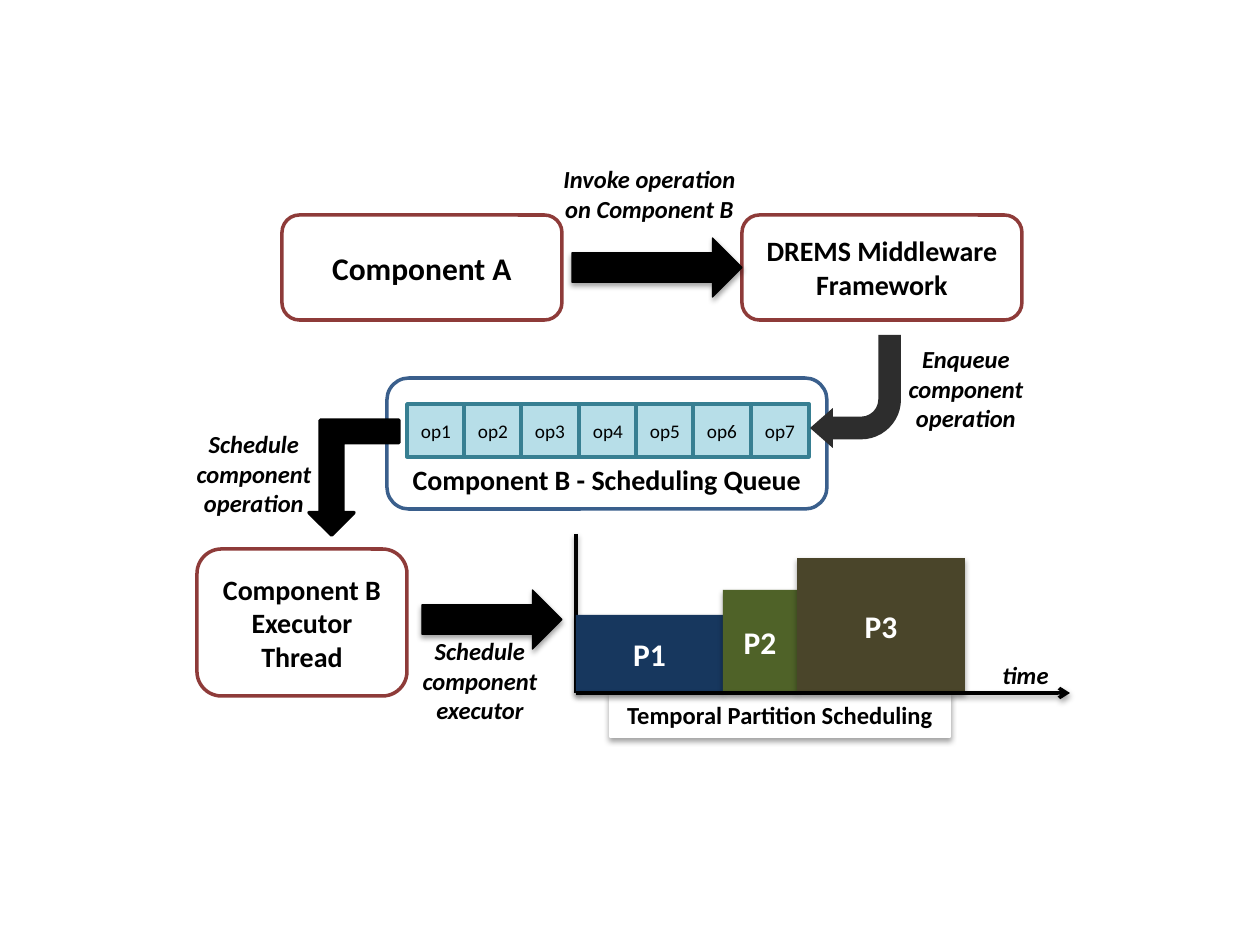
from dataclasses import dataclass

from lxml import etree
from pptx import Presentation
from pptx.dml.color import RGBColor
from pptx.enum.shapes import MSO_CONNECTOR, MSO_SHAPE
from pptx.enum.text import MSO_ANCHOR, MSO_AUTO_SIZE, PP_ALIGN
from pptx.oxml.ns import qn
from pptx.util import Pt

RECT, ROUND = MSO_SHAPE.RECTANGLE, MSO_SHAPE.ROUNDED_RECTANGLE
RIGHT_ARROW = MSO_SHAPE.RIGHT_ARROW
BENT_ARROW, BENT_UP_ARROW = MSO_SHAPE.BENT_ARROW, MSO_SHAPE.BENT_UP_ARROW
STRAIGHT = MSO_CONNECTOR.STRAIGHT
TOP, MIDDLE, BOTTOM = MSO_ANCHOR.TOP, MSO_ANCHOR.MIDDLE, MSO_ANCHOR.BOTTOM
CENTER = PP_ALIGN.CENTER
FIT_SHAPE = MSO_AUTO_SIZE.SHAPE_TO_FIT_TEXT

PX = 914400 / 126


@dataclass(frozen=True)
class Theme:
    font: str = "Calibri"
    black: str = "000000"
    white: str = "FFFFFF"
    grey: str = "2D2D2D"
    component: str = "8E3B39"
    queue: str = "3A5F8C"
    op_fill: str = "B7DEE8"
    op_line: str = "377F92"
    p1: str = "17375E"
    p2: str = "4F6228"
    p3: str = "4A452A"
    large: int = 18
    medium: int = 16
    label: int = 14
    small: int = 11
    thick: float = 2
    thin: float = 0.75


def px(*lengths):
    return [round(n * PX) for n in lengths]


def rgb(value):
    return RGBColor.from_string(value)


def add_shadow(effects):
    shadow = etree.SubElement(effects, qn("a:outerShdw"), blurRad="40000",
                              dist="21500", dir="5400000", rotWithShape="0")
    color = etree.SubElement(shadow, qn("a:srgbClr"), val="000000")
    etree.SubElement(color, qn("a:alpha"), val="36000")


class Diagram:
    def __init__(self, slide, theme):
        self.slide = slide
        self.theme = theme

    def set_text(self, sp, text, size, color, anchor=MIDDLE, bold=True, italic=False):
        tf = sp.text_frame
        tf.word_wrap = True
        tf.vertical_anchor = anchor
        tf.text = text
        for p in tf.paragraphs:
            p.alignment = CENTER
            p.font.name = self.theme.font
            p.font.size = Pt(size)
            p.font.bold = bold
            p.font.italic = italic
            p.font.color.rgb = rgb(color)

    def shape(self, kind, box, fill, line=None, width=None, shadow=False):
        sp = self.slide.shapes.add_shape(kind, *px(*box))
        sp.fill.solid()
        sp.fill.fore_color.rgb = rgb(fill)
        if line:
            sp.line.color.rgb = rgb(line)
            sp.line.width = Pt(width or self.theme.thick)
        else:
            sp.line.fill.background()
        sp.shadow.inherit = False
        if shadow:
            add_shadow(sp.element.spPr.find(qn("a:effectLst")))
        return sp

    def component(self, box, text, size):
        sp = self.shape(ROUND, box, self.theme.white, self.theme.component)
        self.set_text(sp, text, size, self.theme.black)

    def block_arrow(self, box):
        self.shape(RIGHT_ARROW, box, self.theme.black, self.theme.black,
                   self.theme.thin, shadow=True)

    def label(self, box, text):
        sp = self.slide.shapes.add_textbox(*px(*box))
        self.set_text(sp, text, self.theme.label, self.theme.black, TOP, italic=True)
        sp.text_frame.auto_size = FIT_SHAPE

    def axis(self, start, end, arrow=False):
        axis = self.slide.shapes.add_connector(STRAIGHT, *px(*start, *end))
        axis.line.color.rgb = rgb(self.theme.black)
        axis.line.width = Pt(self.theme.thick)
        props = axis.element.spPr
        if arrow:
            etree.SubElement(props.find(qn("a:ln")), qn("a:tailEnd"), type="arrow")
        add_shadow(etree.SubElement(props, qn("a:effectLst")))

    def queue(self, box, text, count):
        t = self.theme
        sp = self.shape(ROUND, box, t.white, t.queue)
        self.set_text(sp, text, t.medium, t.black, BOTTOM)
        for i in range(count):
            cell = self.shape(RECT, (407 + 344 * i // (count - 1), 404, 58, 53),
                              t.op_fill, t.op_line)
            self.set_text(cell, f"op{i + 1}", t.small, t.black, bold=False)

    def partitions(self, left, base, bars):
        """Stand bars of (text, width, height, fill) side by side on the base."""
        for text, width, height, fill in bars:
            sp = self.shape(RECT, (left, base - height, width, height), fill, shadow=True)
            self.set_text(sp, text, self.theme.large, self.theme.white)
            left += width


def main():
    prs = Presentation()
    prs.slide_width, prs.slide_height = px(1260, 945)
    t = Theme()
    d = Diagram(prs.slides.add_slide(prs.slide_layouts[6]), t)

    caption = d.shape(RECT, (610, 694, 340, 43), t.white, t.white, t.thin, shadow=True)
    d.set_text(caption, "Temporal Partition Scheduling", t.label, t.black, TOP)

    d.component((742, 215, 280, 105), "DREMS Middleware Framework", t.medium)
    d.queue((387, 378, 440, 131), "Component B - Scheduling Queue", 7)

    enqueue = d.shape(BENT_ARROW, (810, 335, 91, 113), t.grey)
    for i, value in enumerate((0.25, 0.22, 0.25, 0.44)):
        enqueue.adjustments[i] = value
    enqueue.rotation = 180
    schedule = d.shape(BENT_UP_ARROW, (309, 420, 90, 115), t.black, t.black)
    schedule.rotation = 180

    d.component((197, 549, 210, 147), "Component B\nExecutor\nThread", t.medium)
    d.block_arrow((422, 590, 140, 59))

    left, base = 576, 693
    d.axis((left, 534), (left, base))
    d.partitions(left, base, [("P1", 147, 78, t.p1),
                              ("P2", 74, 103, t.p2),
                              ("P3", 168, 135, t.p3)])
    d.axis((left, base), (1070, base), arrow=True)

    d.label((985, 654, 81, 42), "time")
    d.label((178, 423, 152, 102), "Schedule component operation")
    d.label((890, 338, 152, 102), "Enqueue\ncomponent operation")
    d.component((282, 215, 280, 105), "Component A", t.large)
    d.block_arrow((572, 238, 170, 59))
    d.label((531, 158, 237, 72), "Invoke operation\non Component B")
    d.label((404, 630, 152, 102), "Schedule component executor")

    prs.save("out.pptx")


if __name__ == "__main__":
    main()
